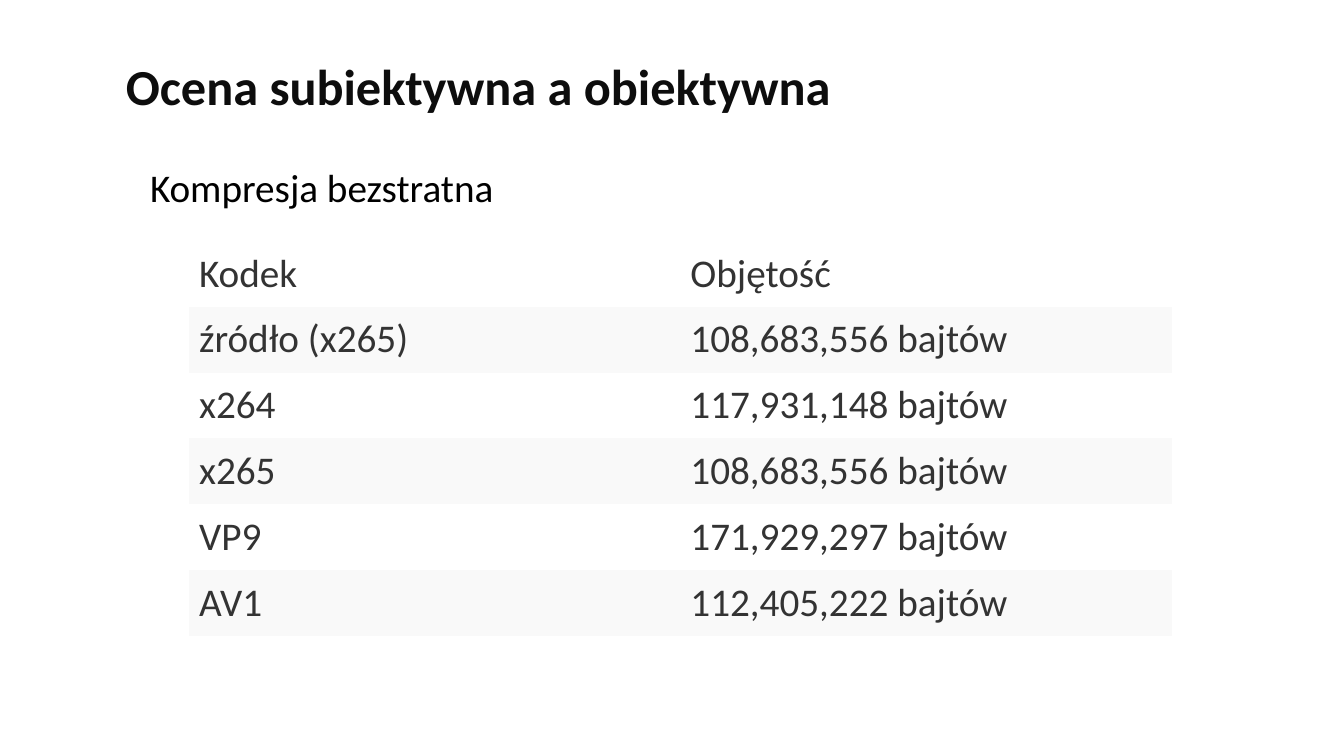
from dataclasses import dataclass

from pptx import Presentation
from pptx.dml.color import RGBColor
from pptx.enum.text import MSO_ANCHOR
from pptx.oxml.ns import qn
from pptx.slide import Slide
from pptx.table import _Cell as Cell
from pptx.text.text import TextFrame
from pptx.util import Pt

WHITE = RGBColor(0xFF, 0xFF, 0xFF)
BAND = RGBColor(0xF9, 0xF9, 0xF9)
BLACK = RGBColor(0x00, 0x00, 0x00)
TITLE_INK = RGBColor(0x0D, 0x0D, 0x0D)
TABLE_INK = RGBColor(0x33, 0x33, 0x33)

FONT = "Calibri"
NO_STYLE_NO_GRID = "{2D5ABB26-0587-4C30-8999-92F81FD0307C}"
COLUMN_WIDTH = 351
ROW_HEIGHT = 47.04


@dataclass(frozen=True)
class Heading:
    text: str
    left: float
    top: float
    width: float
    height: float
    size: float
    color: RGBColor
    bold: bool = False
    anchor: MSO_ANCHOR = MSO_ANCHOR.TOP
    line_spacing: float = 1.0


@dataclass(frozen=True)
class CodecSize:
    codec: str
    volume: str


HEADINGS = [
    Heading("Ocena subiektywna a obiektywna", 82.8, 28.8, 806.4, 69.84, 36,
            TITLE_INK, bold=True, anchor=MSO_ANCHOR.MIDDLE, line_spacing=0.9),
    Heading("Kompresja bezstratna", 100.08, 113.04, 813.6, 41.04, 28, BLACK),
]

CODEC_SIZES = [
    CodecSize("Kodek", "Objętość"),
    CodecSize("źródło (x265)", "108,683,556 bajtów"),
    CodecSize("x264", "117,931,148 bajtów"),
    CodecSize("x265", "108,683,556 bajtów"),
    CodecSize("VP9", "171,929,297 bajtów"),
    CodecSize("AV1", "112,405,222 bajtów"),
]


def write(frame: TextFrame, text: str, *, size: float, color: RGBColor,
          bold: bool = False, line_spacing: float = 1.0) -> None:
    frame.word_wrap = True
    paragraph = frame.paragraphs[0]
    paragraph.line_spacing = line_spacing
    run = paragraph.add_run()
    run.text = text
    run.font.name = FONT
    run.font.size = Pt(size)
    run.font.bold = bold
    run.font.color.rgb = color


def draw_heading(slide: Slide, heading: Heading) -> None:
    frame = slide.shapes.add_textbox(
        Pt(heading.left), Pt(heading.top), Pt(heading.width), Pt(heading.height)
    ).text_frame
    frame.vertical_anchor = heading.anchor
    write(frame, heading.text, size=heading.size, color=heading.color,
          bold=heading.bold, line_spacing=heading.line_spacing)


def fill_cell(cell: Cell, text: str, background: RGBColor) -> None:
    cell.fill.solid()
    cell.fill.fore_color.rgb = background
    cell.margin_left = cell.margin_right = Pt(7.2)
    cell.margin_top = cell.margin_bottom = Pt(6.4)
    write(cell.text_frame, text, size=28, color=TABLE_INK)


def draw_codec_table(slide: Slide, entries: list[CodecSize]) -> None:
    table = slide.shapes.add_table(
        len(entries), 2, Pt(135), Pt(172.08),
        Pt(2 * COLUMN_WIDTH), Pt(len(entries) * ROW_HEIGHT)
    ).table
    table._tbl.tblPr.find(qn("a:tableStyleId")).text = NO_STYLE_NO_GRID
    table.horz_banding = False
    for index, entry in enumerate(entries):
        background = BAND if index % 2 else WHITE
        fill_cell(table.cell(index, 0), entry.codec, background)
        fill_cell(table.cell(index, 1), entry.volume, background)


def main() -> None:
    deck = Presentation()
    deck.slide_width, deck.slide_height = Pt(960), Pt(540)
    slide = deck.slides.add_slide(deck.slide_layouts[6])
    slide.background.fill.solid()
    slide.background.fill.fore_color.rgb = WHITE
    for heading in HEADINGS:
        draw_heading(slide, heading)
    draw_codec_table(slide, CODEC_SIZES)
    deck.save("out.pptx")


if __name__ == "__main__":
    main()
